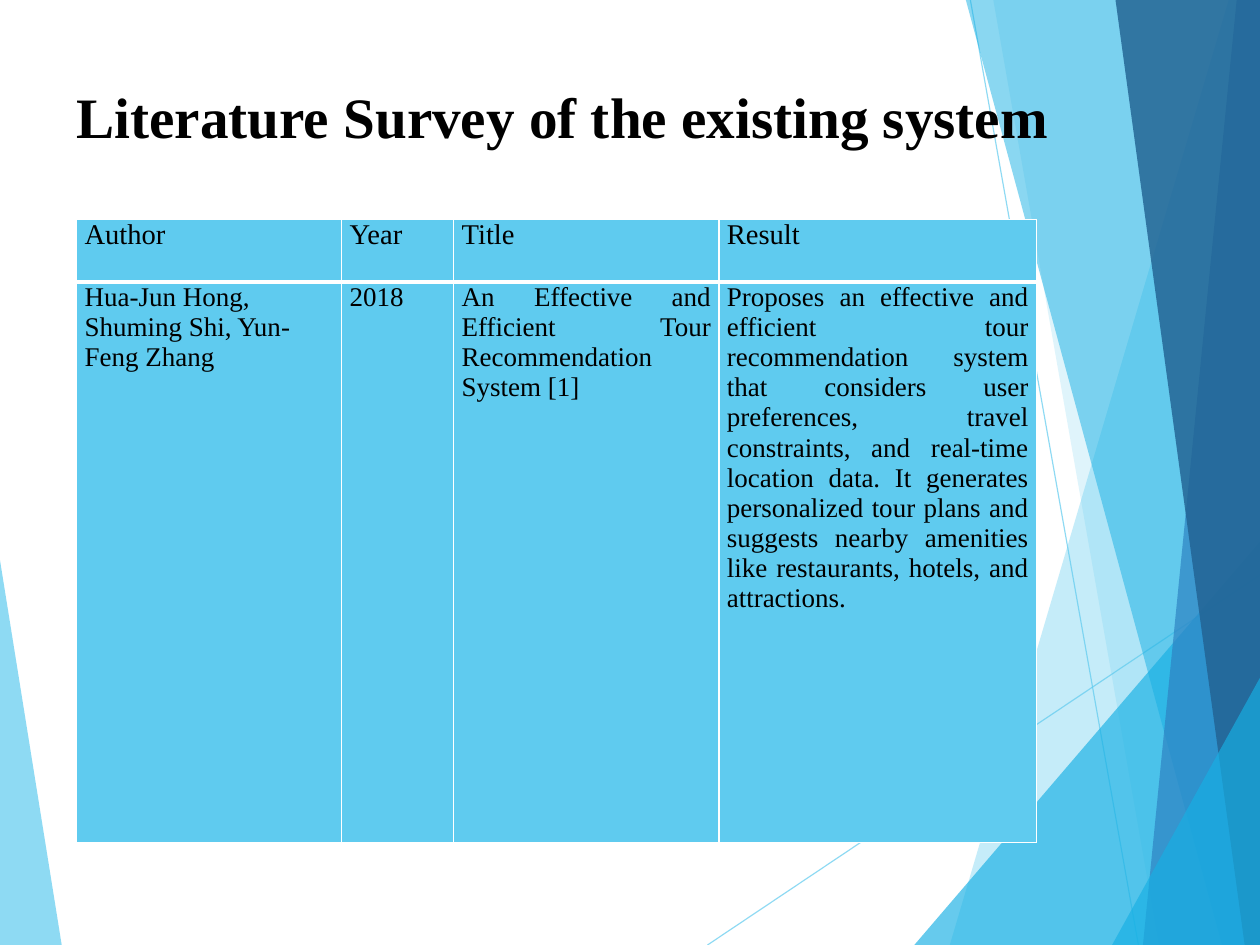
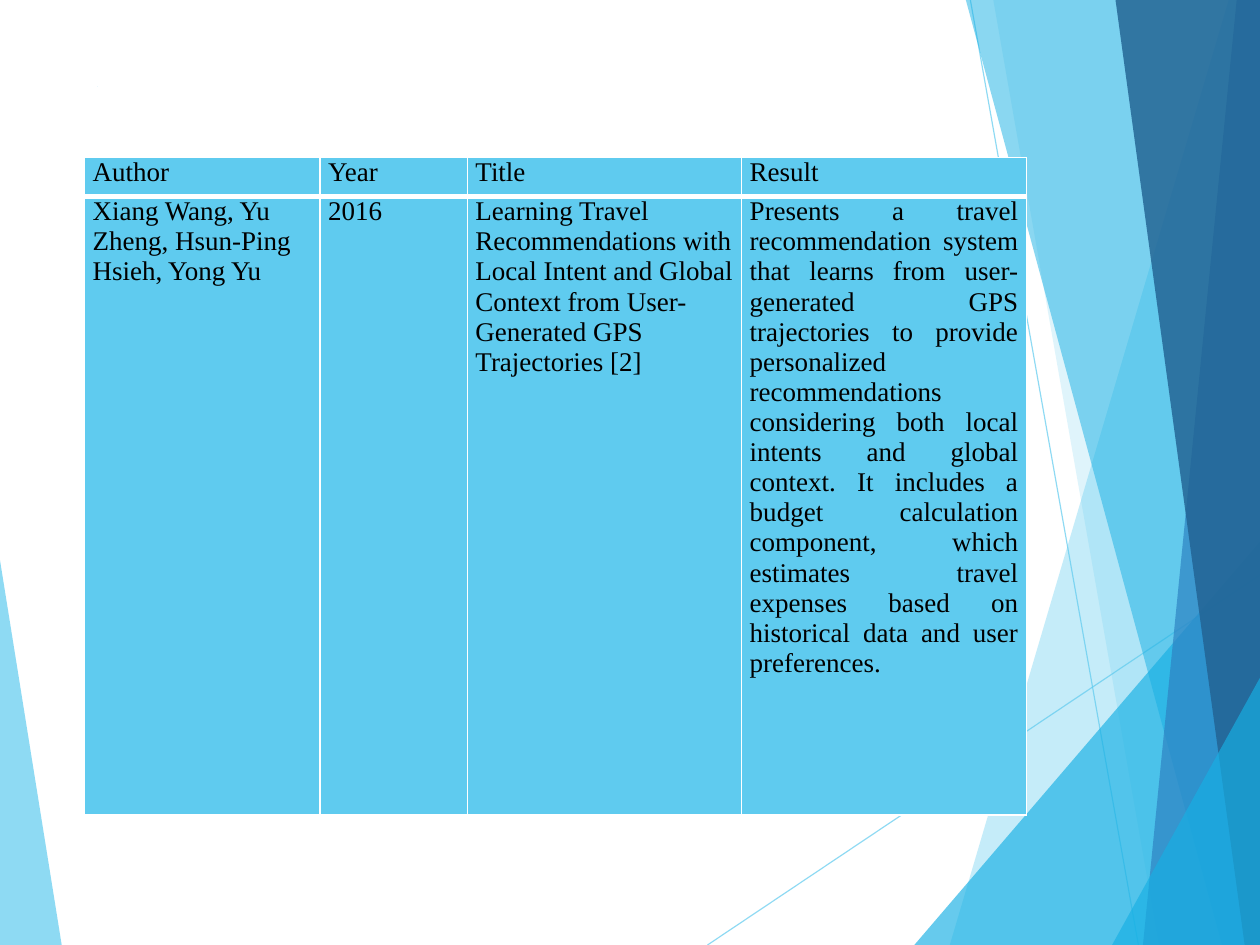
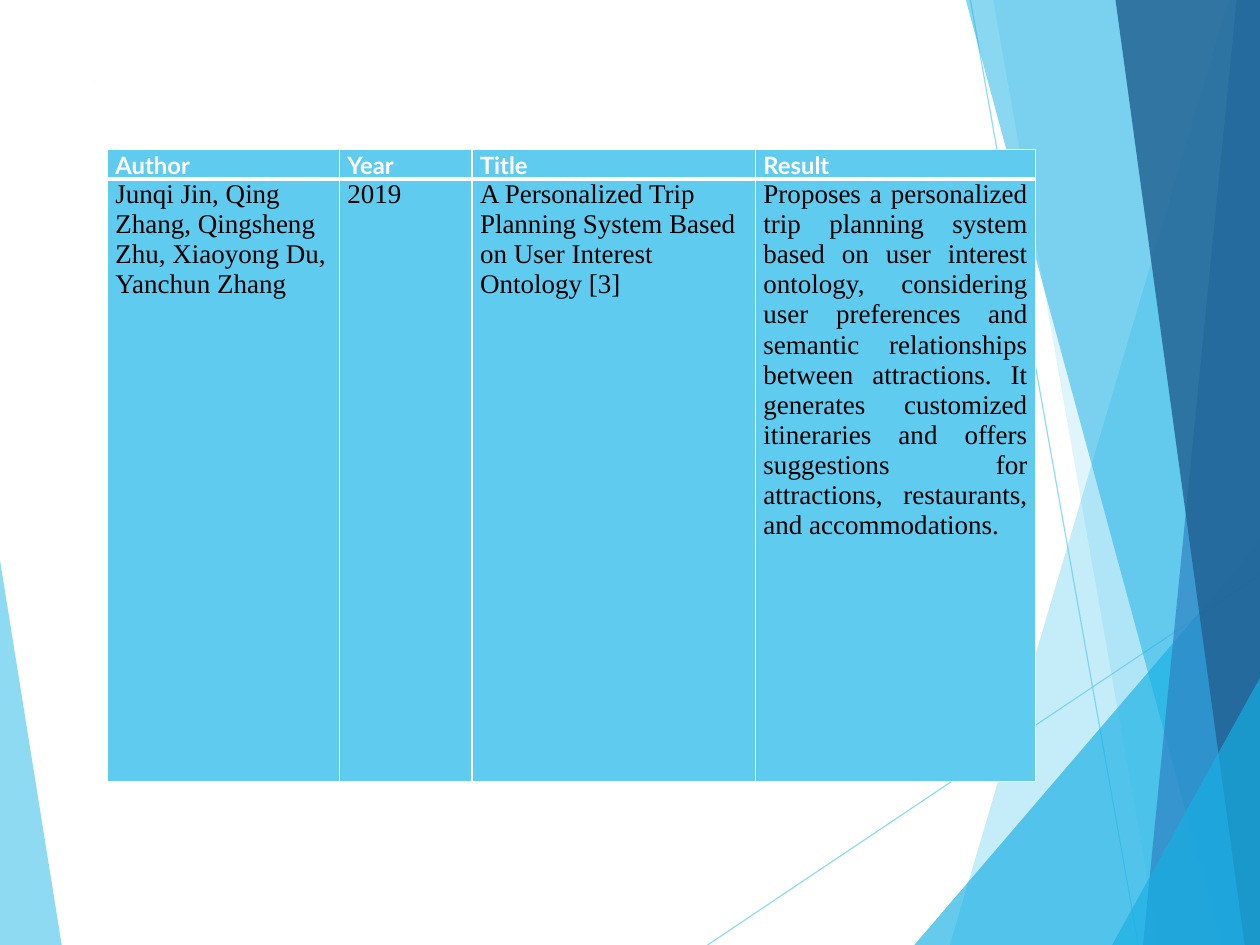
from lxml import etree
from pptx import Presentation
from pptx import util as u
from pptx.dml.color import RGBColor
from pptx.enum import shapes, text
from pptx.oxml.ns import qn

# 28 by 21 centimetres, in inches
WIDE, HIGH = 28 / 2.54, 21 / 2.54
HUES = {"sky": "5FCBEF", "cyan": "17B0E4", "blue": "2E83C3",
        "navy": "226292", "white": "FFFFFF", "black": "000000"}
SERIF, SANS = "Times New Roman", "Lato"
PAD = 0.07
HEADS = ["Author", "Year", "Title", "Result"]

# hue, opacity in percent, corners
WEDGES = [
    ("sky", 70, [(0, 4.9), (0.54, HIGH), (0, HIGH)]),
    ("sky", 36, [(10.75, 0), (8.31, HIGH), (WIDE, HIGH), (WIDE, 0)]),
    ("sky", 20, [(8.69, 0), (10.14, HIGH), (WIDE, HIGH), (WIDE, 0)]),
    ("cyan", 66, [(8, HIGH), (WIDE, 4.74), (WIDE, HIGH)]),
    ("cyan", 50, [(8.45, 0), (10.69, HIGH), (WIDE, HIGH), (WIDE, 0)]),
    ("blue", 70, [(10.82, 0), (10, HIGH), (WIDE, HIGH), (WIDE, 0)]),
    ("navy", 82, [(9.76, 0), (10.89, HIGH), (WIDE, HIGH), (WIDE, 0)]),
    ("cyan", 66, [(9.73, HIGH), (WIDE, 5.93), (WIDE, HIGH)]),
]
RAYS = [(6.19, HIGH, WIDE, 5.03), (8.49, 0, 9.96, HIGH)]


def hue(name):
    return RGBColor.from_string(HUES[name])


def fade(shape, share):
    """Set the opacity of the shape's own colour, in percent."""
    for tint in shape.element.iter(qn("a:srgbClr")):
        etree.SubElement(tint, qn("a:alpha")).set("val", str(share * 1000))


def style(par, size, font, tone, bold=False):
    for run in par.runs:
        run.font.size, run.font.name = u.Pt(size), font
        run.font.bold, run.font.color.rgb = bold, hue(tone)


def edge(cell, **sides):
    """Draw white cell borders; sides gives points for L, R, T and B."""
    props = cell._tc.get_or_add_tcPr()
    for spot, side in enumerate("LRTB"):
        line = etree.Element(qn(f"a:ln{side}"), w=str(u.Pt(sides.get(side, 1))))
        fill = etree.SubElement(line, qn("a:solidFill"))
        etree.SubElement(fill, qn("a:srgbClr"), val=HUES["white"])
        props.insert(spot, line)


class Deck:
    def __init__(self):
        self.prs = Presentation()
        self.prs.slide_width = u.Cm(28)
        self.prs.slide_height = u.Cm(21)
        self.base = self.prs.slide_layouts[5]
        self.slide = None

    def page(self):
        self.slide = self.prs.slides.add_slide(self.base)

    def wedge(self, tone, share, spots):
        spots = [tuple(map(u.Inches, spot)) for spot in spots]
        pen = self.slide.shapes.build_freeform(*spots[0])
        pen.add_line_segments(spots[1:])
        shape = pen.convert_to_shape()
        shape.shadow.inherit = False
        shape.fill.solid()
        shape.fill.fore_color.rgb = hue(tone)
        shape.line.fill.background()
        fade(shape, share)
        return shape

    def ray(self, *ends):
        line = self.slide.shapes.add_connector(
            shapes.MSO_CONNECTOR.STRAIGHT, *map(u.Inches, ends))
        line.line.color.rgb = hue("sky")
        line.line.width = u.Pt(0.75)
        etree.SubElement(line.element.spPr, qn("a:effectLst"))
        fade(line, 70)
        return line

    def backdrop(self):
        """Draw the shared art and move it to the layout."""
        first, *rest = WEDGES
        art = [self.wedge(*first)]
        art += [self.ray(*ends) for ends in RAYS]
        art += [self.wedge(*item) for item in rest]
        for shape in art:
            self.base.shapes.element.append(shape.element)

    def title(self, words, box, size, font, tone, bold=False):
        shape = self.slide.shapes.title
        shape.left, shape.top, shape.width, shape.height = map(u.Inches, box)
        frame = shape.text_frame
        frame.text = words
        frame.word_wrap = True
        frame.auto_size = text.MSO_AUTO_SIZE.NONE
        frame.vertical_anchor = text.MSO_ANCHOR.MIDDLE
        frame.margin_left = u.Inches(0.12)
        frame.margin_top = frame.margin_right = frame.margin_bottom = 0
        par = frame.paragraphs[0]
        par.alignment = text.PP_ALIGN.LEFT
        par.line_spacing = 0.93
        style(par, size, font, tone, bold)

    def cell(self, cell, words, look, just=False):
        cell.text = words
        cell.margin_left = cell.margin_right = u.Inches(PAD)
        cell.margin_top = cell.margin_bottom = 0
        cell.vertical_anchor = text.MSO_ANCHOR.TOP
        cell.fill.solid()
        cell.fill.fore_color.rgb = hue("sky")
        par = cell.text_frame.paragraphs[0]
        par.alignment = text.PP_ALIGN.JUSTIFY if just else text.PP_ALIGN.LEFT
        style(par, *look)
        return par

    def table(self, left, top, cols, rows, study, head, pitch=None, just=(3,)):
        """Place one study under the heads; just lists justified columns."""
        box = map(u.Inches, (left, top, sum(cols), sum(rows)))
        grid = self.slide.shapes.add_table(2, len(cols), *box).table
        grid.horz_banding = False
        for col, width in zip(grid.columns, cols):
            col.width = u.Inches(width)
        for row, height in zip(grid.rows, rows):
            row.height = u.Inches(height)
        for i, (name, words) in enumerate(zip(HEADS, study)):
            par = self.cell(grid.cell(0, i), name, head)
            if pitch:
                par.line_spacing = u.Pt(pitch)
            edge(grid.cell(0, i), B=3)
            self.cell(grid.cell(1, i), words, (17, SERIF, "black"), i in just)
            edge(grid.cell(1, i), T=3)


def main():
    deck = Deck()
    deck.page()
    deck.backdrop()
    deck.title("Literature Survey of the existing system",
               (0.55, 0.35, 9.92, 1.38), 36, SERIF, "black", True)
    deck.table(0.67, 1.92, [2.32, 0.98, 2.32, 2.78], [0.55, 4.9], [
        "Hua-Jun Hong, Shuming Shi, Yun-Feng Zhang",
        "2018",
        "An Effective and Efficient Tour Recommendation System [1]",
        "Proposes an effective and efficient tour recommendation system that "
        "considers user preferences, travel constraints, and real-time "
        "location data. It generates personalized tour plans and suggests "
        "nearby amenities like restaurants, hotels, and attractions.",
    ], (18, SERIF, "black"), just=(2, 3))

    deck.page()
    deck.title(".", (0.73, 0.73, 7.65, 0.05), 2, SANS, "sky")
    deck.table(0.74, 1.38, [2.06, 1.29, 2.4, 2.49], [0.34, 5.41], [
        "Xiang Wang, Yu Zheng, Hsun-Ping Hsieh, Yong Yu",
        "2016",
        "Learning Travel Recommendations with Local Intent and Global "
        "Context from User-Generated GPS Trajectories [2]",
        "Presents a travel recommendation system that learns from "
        "user-generated GPS trajectories to provide personalized "
        "recommendations considering both local intents and global context. "
        "It includes a budget calculation component, which estimates travel "
        "expenses based on historical data and user preferences.",
    ], (17, SERIF, "black"), 18.6)

    deck.page()
    deck.title(".", (0.71, 0.67, 7.65, 0.09), 2, SANS, "sky")
    deck.table(0.94, 1.31, [2.03, 1.16, 2.48, 2.45], [0.25, 5.27], [
        "Junqi Jin, Qing Zhang, Qingsheng Zhu, Xiaoyong Du, Yanchun Zhang",
        "2019",
        "A Personalized Trip Planning System Based on User Interest "
        "Ontology [3]",
        "Proposes a personalized trip planning system based on user interest "
        "ontology, considering user preferences and semantic relationships "
        "between attractions. It generates customized itineraries and offers "
        "suggestions for attractions, restaurants, and accommodations.",
    ], (15, SANS, "white", True), 18.6)
    deck.prs.save("out.pptx")


if __name__ == "__main__":
    main()
